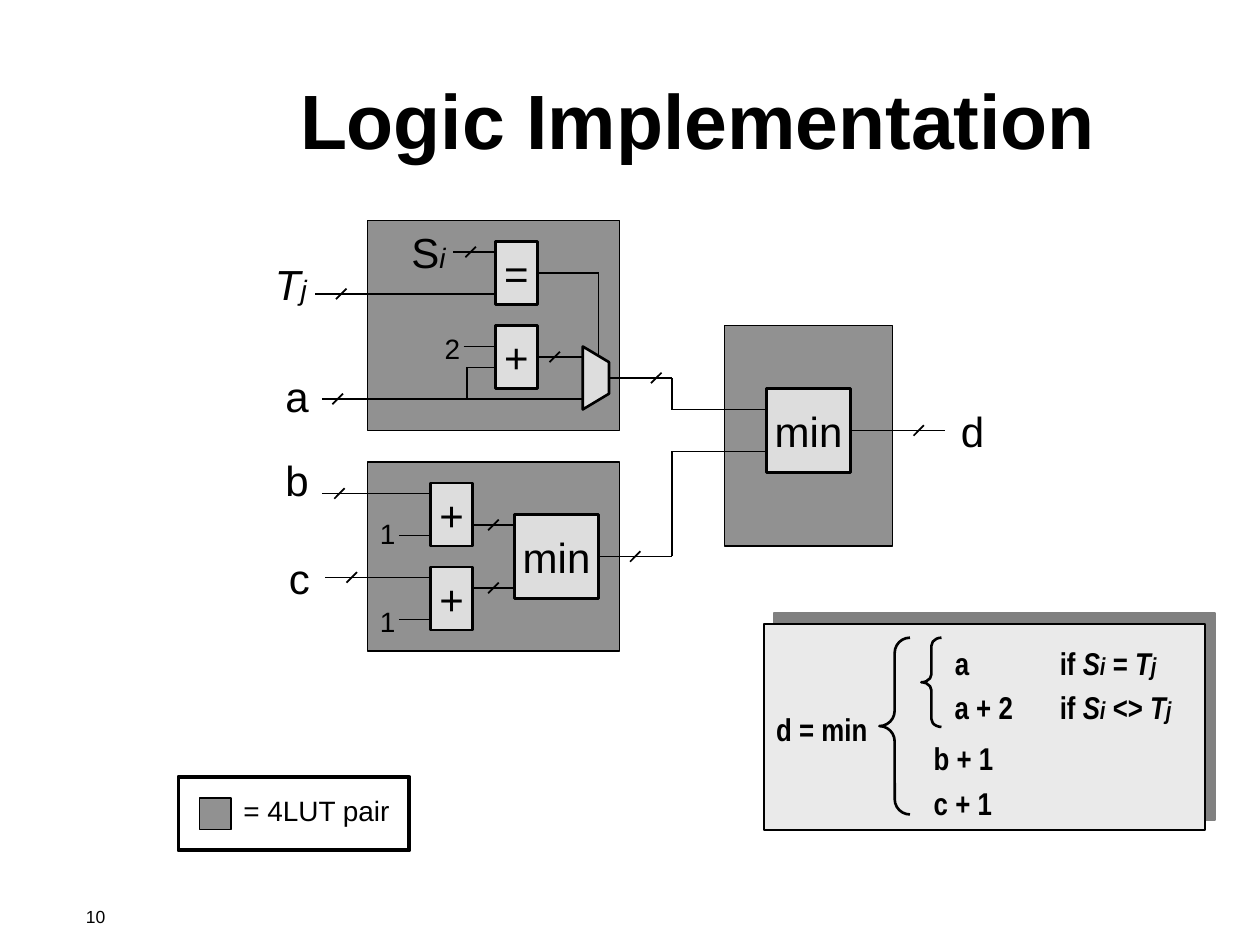
import itertools

import pptx
import pptx.util
from lxml import etree
from pptx.dml.color import RGBColor
from pptx.enum.shapes import MSO_CONNECTOR, MSO_SHAPE
from pptx.enum.text import MSO_ANCHOR, PP_ALIGN
from pptx.oxml.ns import qn

Pt = pptx.util.Pt
COLORS = {"ink": "000000", "lut": "919191", "gate": "DDDDDD",
          "panel": "EAEAEA", "shadow": "808080"}


def rgb(name):
    return RGBColor.from_string(COLORS[name])


def add_runs(p, runs, font="Arial", bold=False):
    """Add (text, size, italic) runs to a paragraph."""
    for text, size, italic in runs:
        r = p.add_run()
        r.text = text
        r.font.name, r.font.size = font, Pt(size)
        r.font.bold, r.font.italic = bold, italic
        r.font.color.rgb = rgb("ink")


def label(s, x, y, w, h, runs, wrap=True, **style):
    tf = s.shapes.add_textbox(Pt(x), Pt(y), Pt(w), Pt(h)).text_frame
    tf.word_wrap = wrap
    add_runs(tf.paragraphs[0], runs, **style)


def signal(s, x, y, w, *runs):
    label(s, x, y, w, 36, runs, wrap=False)


def constant(s, x, y, text):
    label(s, x, y, 18, 27, [(text, 16, False)])


def outline(sp, fill, weight):
    sp.shadow.inherit = False
    if fill:
        sp.fill.solid()
        sp.fill.fore_color.rgb = rgb(fill)
    else:
        sp.fill.background()
    sp.line.color.rgb = rgb("ink")
    sp.line.width = Pt(weight)
    return sp


def block(s, x, y, w, h, fill, weight, shape=MSO_SHAPE.RECTANGLE):
    sp = s.shapes.add_shape(shape, Pt(x), Pt(y), Pt(w), Pt(h))
    return outline(sp, fill, weight)


def gate(s, x, y, w, h, text):
    tf = block(s, x, y, w, h, "gate", 1.5).text_frame
    tf.margin_left = tf.margin_right = tf.margin_top = tf.margin_bottom = 0
    tf.word_wrap = False
    tf.vertical_anchor = MSO_ANCHOR.MIDDLE
    p = tf.paragraphs[0]
    p.alignment = PP_ALIGN.CENTER
    add_runs(p, [(text, 24, False)])


def wire(s, x, y, *points, tick=None):
    """Join points offset from (x, y); tick is the x offset of a bus slash on the first segment."""
    segments = list(itertools.pairwise(points))
    if tick is not None:
        row = points[0][1]
        segments.append(((tick - 3, row + 3), (tick + 3, row - 3)))
    for (x1, y1), (x2, y2) in segments:
        c = s.shapes.add_connector(MSO_CONNECTOR.STRAIGHT, Pt(x + x1), Pt(y + y1),
                                   Pt(x + x2), Pt(y + y2))
        c.line.color.rgb = rgb("ink")
        c.line.width = Pt(1)
        etree.SubElement(c._element.spPr, qn("a:effectLst"))


def mux(s, x, y):
    fb = s.shapes.build_freeform(Pt(x), Pt(y + 36), scale=1.0)
    fb.add_line_segments([(Pt(x + dx), Pt(y + dy)) for dx, dy in
                          ((0, 0), (15, 9), (15, 27))], close=True)
    outline(fb.convert_to_shape(), "gate", 1.5)


def title(s, x, y, w, h):
    sp = s.shapes.title
    sp.left, sp.top, sp.width, sp.height = Pt(x), Pt(y), Pt(w), Pt(h)
    tf = sp.text_frame
    tf.vertical_anchor = MSO_ANCHOR.MIDDLE
    p = tf.paragraphs[0]
    p.alignment = PP_ALIGN.CENTER
    add_runs(p, [("Logic Implementation", 44, False)], bold=True)


def final_min(s, x, y, w, h):
    block(s, x, y, w, h, "lut", 0.75)
    gate(s, x + 24, y + 36, 48, 48, "min")
    wire(s, x, y, (72, 60), (126, 60), tick=111)
    signal(s, x + 128, y + 42, 27, ("d", 24, False))


def match_lut(s, x, y, w, h):
    """Compare Si with Tj and select a or a + 2."""
    block(s, x, y, w, h, "lut", 0.75)
    for dy, text in ((12, "="), (60, "+")):
        gate(s, x + 73, y + dy, 24, 36, text)
    mux(s, x + 123, y + 72)
    signal(s, x + 18, y, 36, ("S", 24, False), ("i", 16, True))
    signal(s, x - 60, y + 18, 36, ("T", 24, True), ("j", 16, True))
    signal(s, x - 54, y + 82, 27, ("a", 24, False))
    constant(s, x + 37, y + 60, "2")
    wire(s, x, y, (49, 18), (73, 18), tick=59)
    wire(s, x, y, (-30, 42), (73, 42), tick=-15)
    wire(s, x, y, (-26, 102), (123, 102), tick=-17)
    wire(s, x, y, (57, 102), (57, 84), (73, 84))
    wire(s, x, y, (55, 72), (73, 72))
    wire(s, x, y, (97, 30), (132, 30), (132, 78))
    wire(s, x, y, (97, 78), (123, 78), tick=107)
    wire(s, x, y, (138, 90), (174, 90), (174, 108), (228, 108), tick=165)


def gap_lut(s, x, y, w, h):
    """Add 1 to b and c and take the smaller."""
    block(s, x, y, w, h, "lut", 1)
    signal(s, x - 54, y - 8, 27, ("b", 24, False))
    signal(s, x - 52, y + 48, 26, ("c", 24, False))
    gate(s, x + 84, y + 30, 48, 48, "min")
    for top, start, tick, text_y, out_y in ((12, -26, -16, 27.5, 36),
                                            (60, -24, -9, 78, 72)):
        gate(s, x + 36, y + top, 24, 36, "+")
        constant(s, x, y + text_y, "1")
        wire(s, x, y, (start, top + 6), (36, top + 6), tick=tick)
        wire(s, x, y, (18, top + 30), (36, top + 30))
        wire(s, x, y, (60, out_y), (84, out_y), tick=72)
    wire(s, x, y, (132, 54), (174, 54), (174, -6), (228, -6), tick=153)


def recurrence(s, x, y, w, h):
    panel = block(s, x, y, w, h, "panel", 1)
    effects = panel._element.spPr.find(qn("a:effectLst"))
    shadow = etree.SubElement(effects, qn("a:outerShdw"), blurRad="0", dist=str(Pt(8.5)),
                              dir=str(315 * 60000), algn="ctr", rotWithShape="0")
    etree.SubElement(shadow, qn("a:srgbClr"), val=COLORS["shadow"])
    for dx, bw, bh, curve in ((66, 17.5, 101, 0.5), (90, 11.5, 51, 0.4)):
        brace = block(s, x + dx, y + 8, bw, bh, None, 1.5, MSO_SHAPE.LEFT_BRACE)
        brace.adjustments[0] = curve
    style = {"font": "Arial Narrow", "bold": True}
    for dx, dy, tw, text in ((0, 46, 81, "d = min"), (102, 8, 35, "a"), (102, 33, 81, "a + 2"),
                             (90, 62.5, 75, "b + 1"), (90, 88, 75, "c + 1")):
        label(s, x + dx, y + dy, tw, 29, [(text, 18, False)], **style)
    for dy, sign in ((8, "= "), (33, "<> ")):
        runs = [("if ", 18, False), ("S", 18, True), ("i", 14, True), (" ", 18, True),
                (sign, 18, False), ("T", 18, True), ("j", 14, True)]
        label(s, x + 162, y + dy, 115, 29, runs, **style)


def legend(s, x, y, w, h):
    block(s, x, y, w, h, None, 2.25)
    block(s, x + 12, y + 12, 18, 18, "lut", 0.75)
    label(s, x + 30, y + 6, 108, 27, [("= 4LUT pair", 16, False)])


def main():
    prs = pptx.Presentation()
    prs.slide_width, prs.slide_height = Pt(720), Pt(540)
    s = prs.slides.add_slide(prs.slide_layouts.get_by_name("Title Only"))
    title(s, 78, 23, 642, 90)
    final_min(s, 414, 186, 96, 126)
    match_lut(s, 210, 126, 144, 120)
    gap_lut(s, 210, 264, 144, 108)
    recurrence(s, 436.5, 356.4, 252, 118)
    legend(s, 102, 444, 132, 42)
    label(s, 42, 514, 174, 24, [("10", 10, False)])
    prs.save("out.pptx")


if __name__ == "__main__":
    main()
